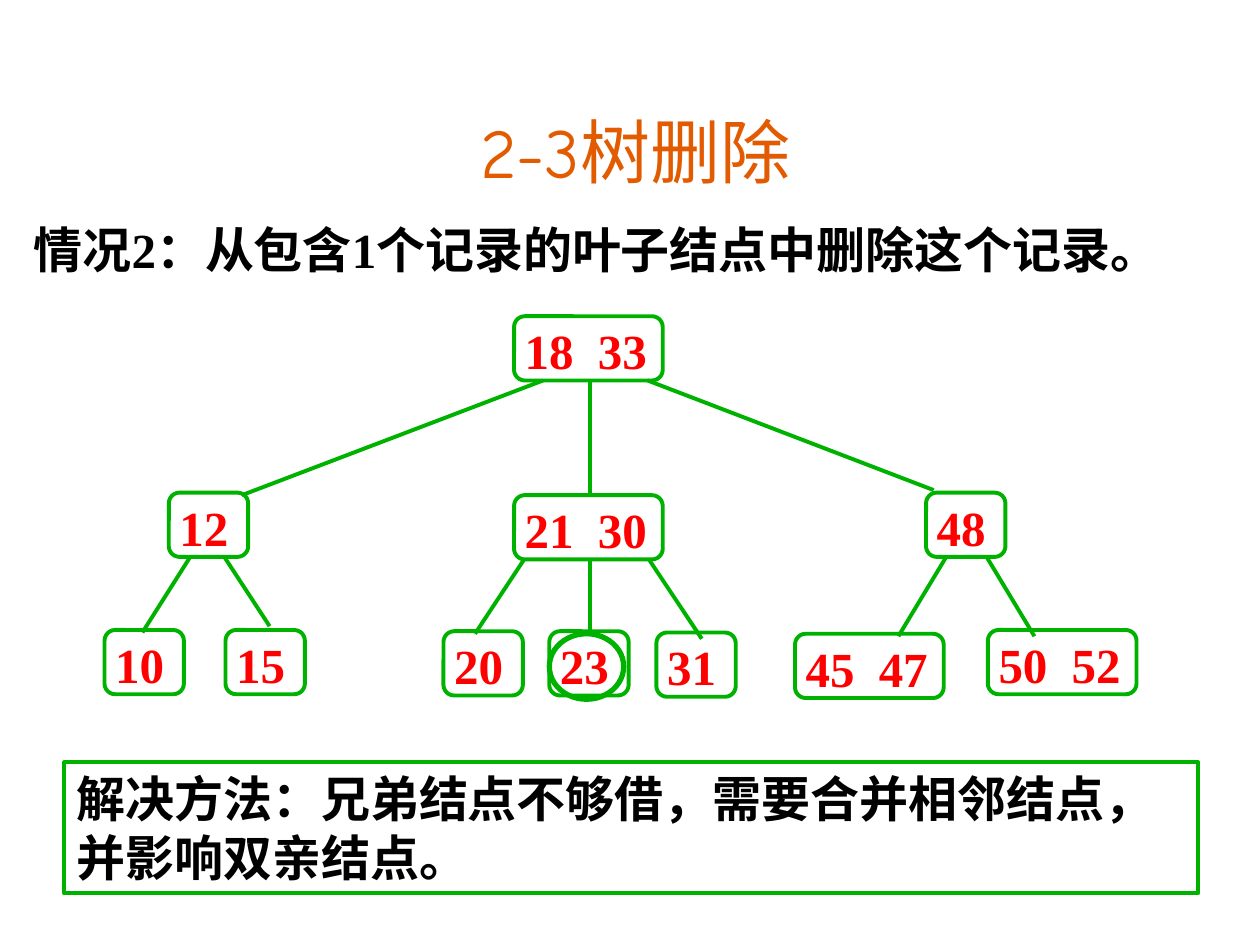
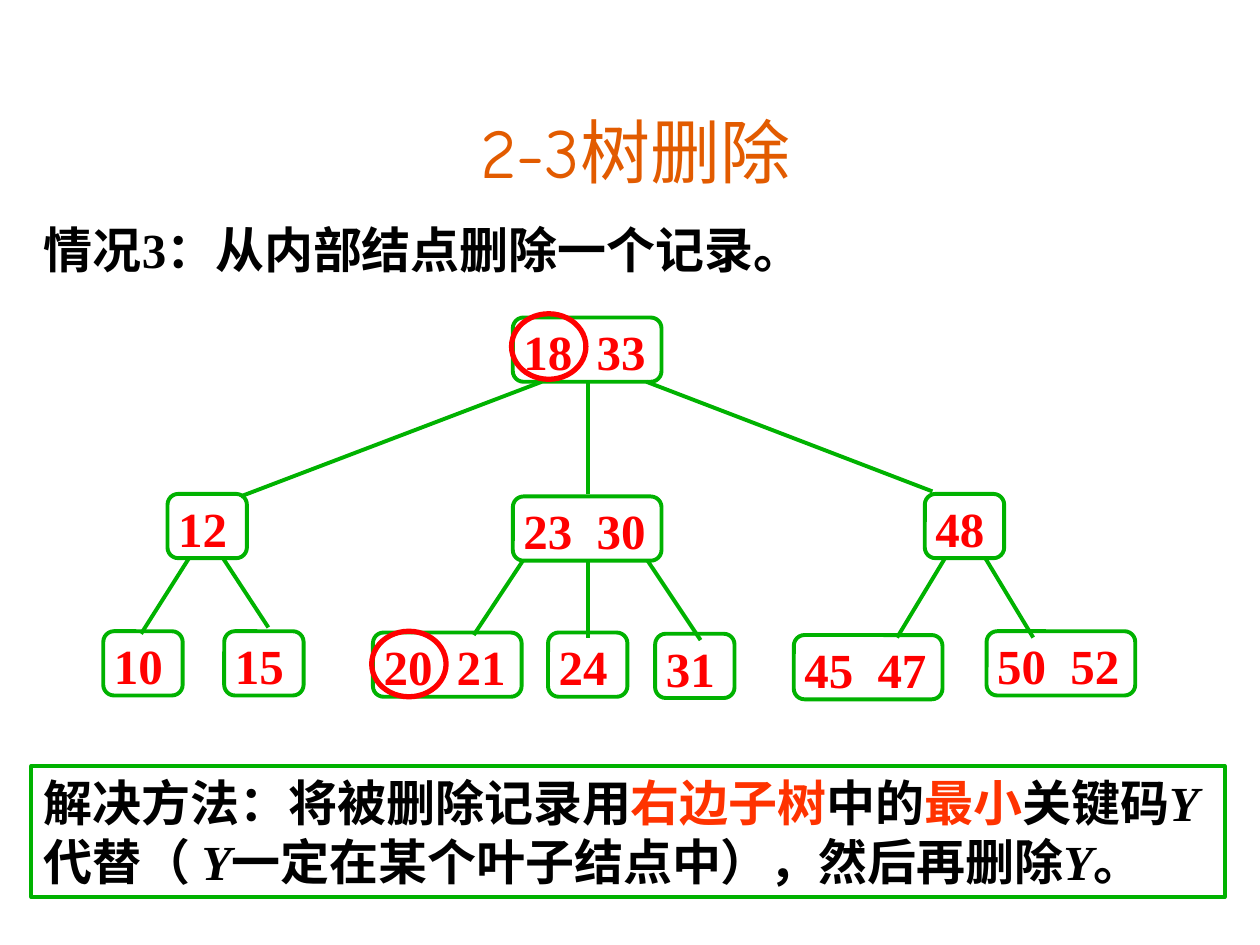
from dataclasses import dataclass

from lxml.etree import SubElement
from pptx import Presentation
from pptx.dml.color import RGBColor
from pptx.enum.lang import MSO_LANGUAGE_ID as LANG
from pptx.enum.shapes import MSO_CONNECTOR as CONN, MSO_SHAPE as SHAPE
from pptx.enum.text import MSO_ANCHOR as ANCHOR, PP_ALIGN as ALIGN
from pptx.oxml.ns import qn
from pptx.util import Inches, Pt

COLS, ROWS = 100, 75
NODE_WIDTHS, NODE_HEIGHT = {1: 6.3, 2: 11.8}, 5.1
SECOND_KEY = 5.8
RING = (5.9, 5.2)

# right edge, top, keys, edges as (start column, end column, end row)
TREE = [
    (52.6, 25.1, "18 33", [(43.1, 19.2, 39.3), (46.8, 46.8, 39.1), (51.4, 74.1, 38.9)]),
    (19.7, 39.1, "12", [(15.1, 11.3, 50.2), (17.8, 21.4, 49.7)]),
    (52.6, 39.3, "21 30", [(41.6, 37.7, 50.3), (46.8, 46.8, 50.5), (51.5, 55.7, 50.7)]),
    (79.8, 39.1, "48", [(75.1, 71.3, 50.5), (78.3, 82.1, 50.5)]),
    (14.6, 50, "10", []),
    (24.2, 50, "15", []),
    (41.5, 50.1, "20", []),
    (49.9, 50.1, "23", []),
    (58.4, 50.2, "31", []),
    (74.9, 50.3, "45 47", []),
    (90.2, 50, "50 52", []),
]


@dataclass(frozen=True)
class Theme:
    """Colours, fonts and sizes shared by the slides."""
    green: str = "00B200"
    key: str = "FF0000"
    title: str = "E25B00"
    ink: str = "000000"
    accent: str = "FF3300"
    title_font: str = "Comic Neue"
    body_font: str = "Times New Roman"
    title_size: float = 40
    body_size: float = 28
    line: float = 2.25
    ring: float = 3


class Deck:
    """Draws the tree slides on a grid of columns and rows."""

    def __init__(self, theme):
        """Start an empty presentation."""
        self.t = theme
        self.prs = Presentation()
        self.prs.slide_width, self.prs.slide_height = Inches(10), Inches(7.5)
        self.s = None

    def x(self, cols):
        """Turn columns into a length."""
        return round(self.prs.slide_width * cols / COLS)

    def y(self, rows):
        """Turn rows into a length."""
        return round(self.prs.slide_height * rows / ROWS)

    def box(self, left, top, width, height):
        """Turn a grid box into lengths."""
        return self.x(left), self.y(top), self.x(width), self.y(height)

    def style(self, r, color=None, italic=None):
        """Give a run the body style."""
        f = r.font
        f.name, f.size, f.bold, f.italic = self.t.body_font, Pt(self.t.body_size), True, italic
        f.color.rgb = RGBColor.from_string(color or self.t.ink)
        f.language_id = LANG.SIMPLIFIED_CHINESE

    def stroke(self, line, color=None, width=None):
        """Set the colour and width of a line."""
        line.color.rgb = RGBColor.from_string(color or self.t.green)
        line.width = Pt(width or self.t.line)

    def outline(self, kind, box, color=None, width=None):
        """Add an unfilled preset shape."""
        sp = self.s.shapes.add_shape(kind, *self.box(*box))
        sp.shadow.inherit = False
        sp.fill.background()
        self.stroke(sp.line, color, width)
        return sp

    def slide(self, title):
        """Add a blank slide with the shared title."""
        self.s = self.prs.slides.add_slide(self.prs.slide_layouts[6])
        tf = self.s.shapes.add_textbox(*self.box(7.5, 7.5, 85.8, 8.3)).text_frame
        tf.word_wrap, tf.vertical_anchor = True, ANCHOR.BOTTOM
        tf.text = title
        p = tf.paragraphs[0]
        p.alignment = ALIGN.CENTER
        r = p.runs[0]
        self.style(r, self.t.title)
        r.font.name, r.font.size, r.font.bold = self.t.title_font, Pt(self.t.title_size), False

    def heading(self, left, width, text):
        """Add the one-line description of the case."""
        tf = self.s.shapes.add_textbox(*self.box(left, 16.9, width, 5.7)).text_frame
        tf.word_wrap, tf.vertical_anchor = False, ANCHOR.MIDDLE
        tf.text = text
        self.style(tf.paragraphs[0].runs[0])

    def solution(self, left, top, width, parts):
        """Add the framed solution from (text, colour, italic) parts."""
        tf = self.outline(SHAPE.RECTANGLE, (left, top, width, 10.4)).text_frame
        tf.word_wrap, tf.vertical_anchor = True, ANCHOR.MIDDLE
        p = tf.paragraphs[0]
        p.alignment = ALIGN.LEFT
        for text, color, italic in parts:
            r = p.add_run()
            r.text = text
            self.style(r, color, italic)

    def edge(self, x1, y1, x2, y2):
        """Add a line from a parent to a child."""
        c = self.s.shapes.add_connector(CONN.STRAIGHT, self.x(x1), self.y(y1), self.x(x2), self.y(y2))
        self.stroke(c.line)
        SubElement(c._element.spPr, qn("a:effectLst"))

    def node(self, right, top, keys):
        """Add a node holding one or two keys."""
        width = NODE_WIDTHS[len(keys)]
        tf = self.outline(SHAPE.ROUNDED_RECTANGLE, (right - width, top, width, NODE_HEIGHT)).text_frame
        tf.margin_left, tf.margin_right = Inches(0.06), Inches(0.02)
        tf.margin_top = tf.margin_bottom = Inches(0.01)
        tf.word_wrap, tf.vertical_anchor = True, ANCHOR.TOP
        tf.text = "\t".join(keys)
        p = tf.paragraphs[0]
        p.alignment = ALIGN.JUSTIFY
        if len(keys) > 1:
            tabs = SubElement(p._p.get_or_add_pPr(), qn("a:tabLst"))
            SubElement(tabs, qn("a:tab"), pos=str(self.x(SECOND_KEY)), algn="l")
        for r in p.runs:
            self.style(r, self.t.key)

    def tree(self, dx=0, dy=0, changes=None):
        """Draw the tree, shifted and with some nodes' keys changed."""
        for right, top, keys, edges in TREE:
            for start, end, row in edges:
                self.edge(start + dx, top + NODE_HEIGHT + dy, end + dx, row + dy)
            self.node(right + dx, top + dy, (changes or {}).get(keys, keys).split())

    def ring(self, left, top, color):
        """Circle the key in question."""
        self.outline(SHAPE.OVAL, (left, top, *RING), color, self.t.ring)


def main():
    """Build and save both slides."""
    t = Theme()
    d = Deck(t)
    title = "2-3树删除"

    d.slide(title)
    d.tree()
    d.heading(1.7, 95.9, "情况2：从包含1个记录的叶子结点中删除这个记录。")
    d.solution(5.1, 60.5, 90, [
        ("解决方法：兄弟结点不够借，需要合并相邻结点，并影响双亲结点。", t.ink, False)])
    d.ring(43.6, 50.3, t.green)

    d.slide(title)
    d.heading(2.5, 64.9, "情况3：从内部结点删除一个记录。")
    y = ("Y", t.ink, True)
    d.solution(2.5, 60.8, 94.7, [
        ("解决方法：将被删除记录用", t.ink, False),
        ("右边子树", t.accent, False),
        ("中的", t.ink, False),
        ("最小", t.accent, False),
        ("关键码", t.ink, False),
        y,
        ("代替（ ", t.ink, False),
        y,
        ("一定在某个叶子结点中），然后再删除", t.ink, False),
        y,
        ("。", t.ink, False),
    ])
    d.tree(-0.1, 0.1, {"21 30": "23 30", "20": "20 21", "23": "24"})
    for left, top in [(40.6, 24.9), (29.5, 50.1)]:
        d.ring(left, top, t.key)

    d.prs.save("out.pptx")


if __name__ == "__main__":
    main()
